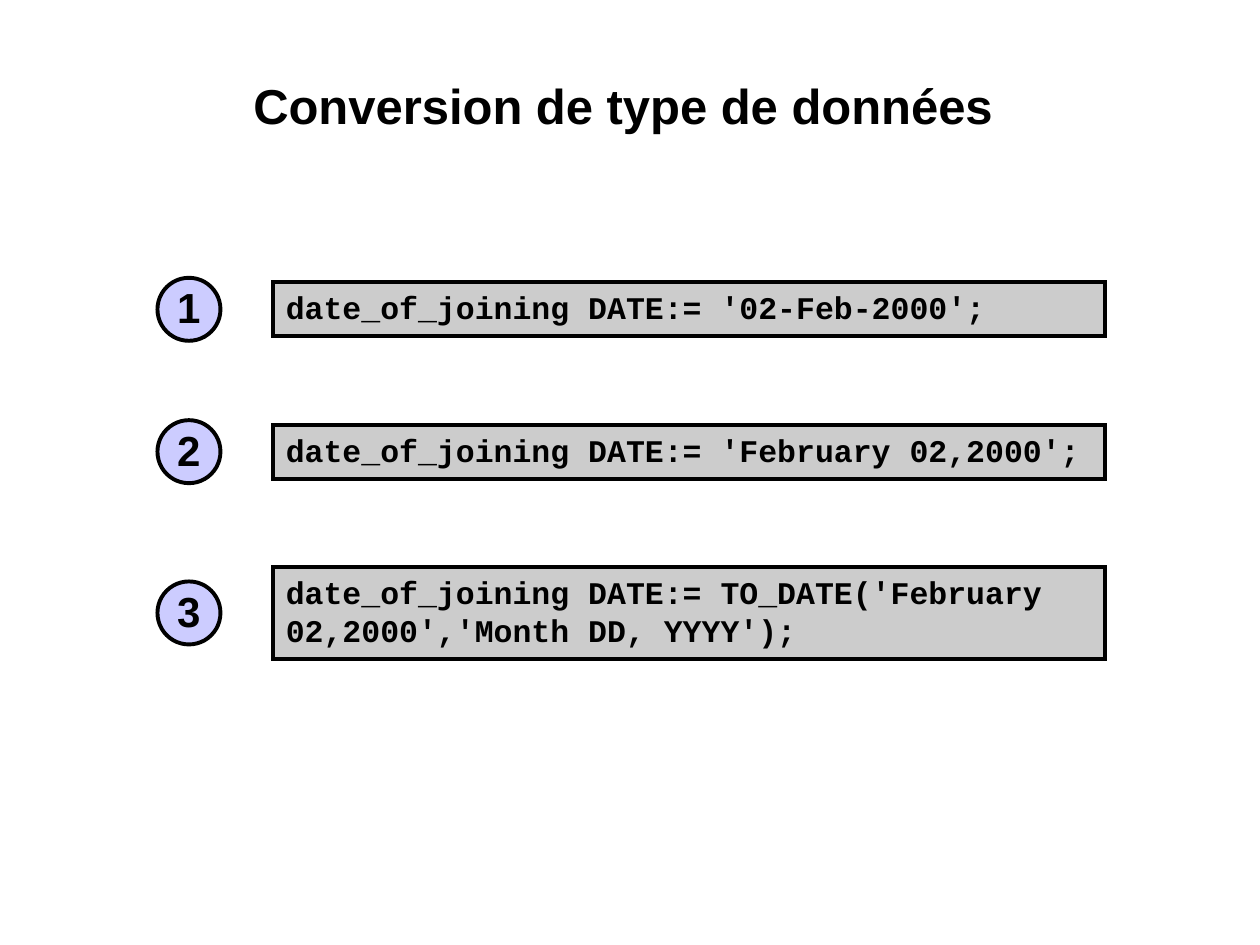
from lxml.etree import SubElement
from pptx import Presentation
from pptx.dml.color import RGBColor
from pptx.enum.shapes import MSO_SHAPE as Shape
from pptx.enum.text import MSO_ANCHOR as Anchor, PP_ALIGN as Align
from pptx.oxml.ns import qn
from pptx.util import Inches, Pt

# Content: each statement with the number of lines it takes
TITLE = "Conversion de type de données"
STATEMENTS = [
    ("date_of_joining DATE:= '02-Feb-2000';", 1),
    ("date_of_joining DATE:= 'February 02,2000';", 1),
    ("date_of_joining DATE:= TO_DATE('February 02,2000','Month DD, YYYY');", 2),
]

# Layout, in inches
WIDTH, HEIGHT = 10, 7.5
FIRST_TOP, GAP = 2.24, 0.7
LINE_HEIGHT, BOX_PADDING = 0.3, 0.13
CODE_LEFT, CODE_WIDTH = 2.17, 6.6
BADGE_LEFT, BADGE_SIZE = 1.25, 0.5


def color(value):
    return RGBColor.from_string(value)


def write(shape, text, font_name, size, align, anchor, insets):
    frame = shape.text_frame
    frame.word_wrap = True
    frame.vertical_anchor = anchor
    (frame.margin_left, frame.margin_top,
     frame.margin_right, frame.margin_bottom) = map(Inches, insets)
    paragraph = frame.paragraphs[0]
    paragraph.alignment = align
    run = paragraph.add_run()
    run.text = text
    run.font.name = font_name
    run.font.size = Pt(size)
    run.font.bold = True
    run.font.color.rgb = color("000000")
    return paragraph


def add_outlined(slide, kind, left, top, width, height, fill):
    shape = slide.shapes.add_shape(kind, *map(Inches, (left, top, width, height)))
    shape.shadow.inherit = False
    shape.fill.solid()
    shape.fill.fore_color.rgb = color(fill)
    shape.line.color.rgb = color("000000")
    shape.line.width = Pt(2.25)
    # Square corners on the outline
    SubElement(shape.element.spPr.find(qn("a:ln")), qn("a:miter"), lim="800000")
    return shape


presentation = Presentation()
presentation.slide_width, presentation.slide_height = Inches(WIDTH), Inches(HEIGHT)
slide = presentation.slides.add_slide(presentation.slide_layouts[5])

# Title
title = slide.shapes.title
title.left, title.top = Inches(1), Inches(0.58)
title.width, title.height = Inches(8), Inches(0.96)
write(title, TITLE, "Arial", 28, Align.CENTER, Anchor.TOP, (0.01, 0.02, 0.12, 0.01))

# Numbered statements, stacked with equal gaps
top = FIRST_TOP
for number, (statement, lines) in enumerate(STATEMENTS, start=1):
    height = lines * LINE_HEIGHT + BOX_PADDING
    code = add_outlined(slide, Shape.RECTANGLE, CODE_LEFT, top, CODE_WIDTH, height, "CCCCCC")
    write(code, statement, "Courier New", 18, Align.LEFT, Anchor.TOP, (0.1, 0.05, 0.1, 0.05))

    badge_top = top + (height - BADGE_SIZE) / 2
    badge = add_outlined(slide, Shape.OVAL, BADGE_LEFT, badge_top,
                         BADGE_SIZE, BADGE_SIZE, "CCCCFF")
    paragraph = write(badge, str(number), "Arial", 24, Align.CENTER, Anchor.MIDDLE, (0.05,) * 4)
    paragraph.line_spacing = 0.95
    top += height + GAP

presentation.save("out.pptx")
